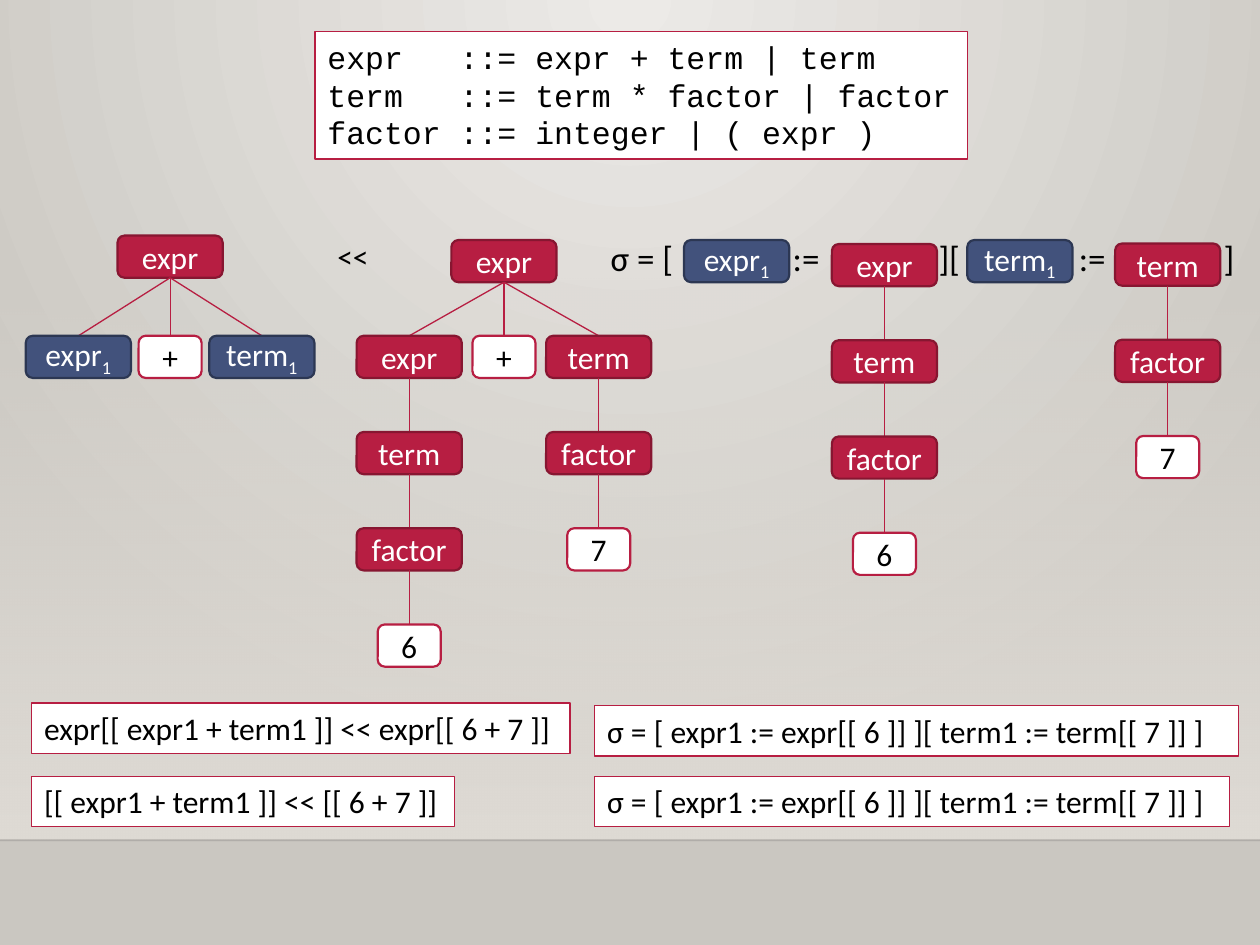
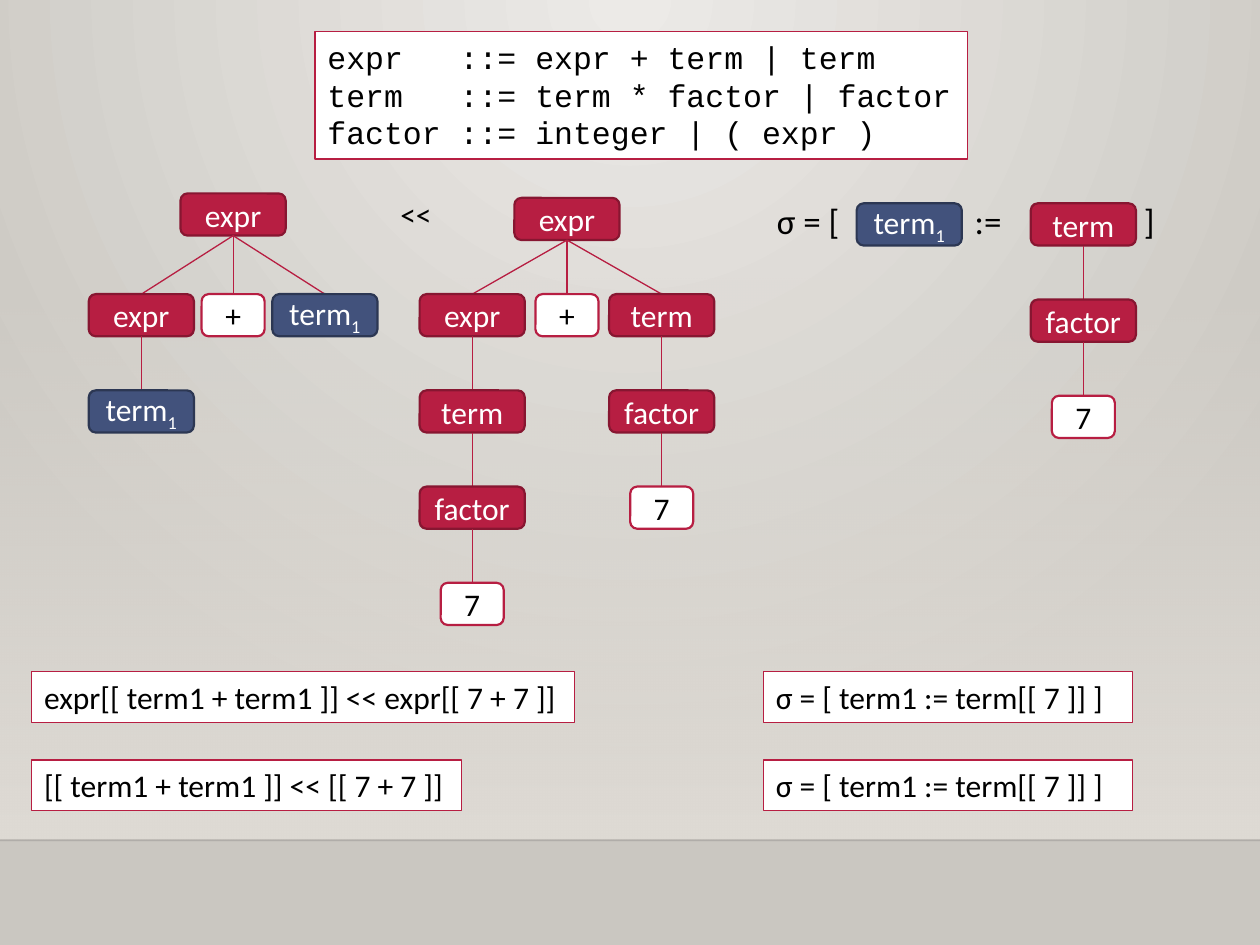
"""Two slides that match syntax-tree patterns against terms and show the substitutions."""
from lxml import etree
from pptx import Presentation
from pptx.dml.color import RGBColor
from pptx.enum.shapes import MSO_CONNECTOR, MSO_SHAPE
from pptx.enum.text import MSO_ANCHOR, PP_ALIGN
from pptx.oxml.ns import qn
from pptx.util import Cm, Pt

RECT, ROUNDED = MSO_SHAPE.RECTANGLE, MSO_SHAPE.ROUNDED_RECTANGLE
STRAIGHT = MSO_CONNECTOR.STRAIGHT
MIDDLE, TOP = MSO_ANCHOR.MIDDLE, MSO_ANCHOR.TOP
CENTER, LEFT = PP_ALIGN.CENTER, PP_ALIGN.LEFT

COLORS = {
    "red": "B71E42", "dark red": "871631", "blue": "42527C", "dark blue": "2C3753",
    "white": "FFFFFF", "black": "000000", "light": "ECEAE7", "grey": "CAC7C1",
    "wall": "DFDBD5", "floor line": "000001",
}
NODE_STYLES = {
    "rule": ("red", "dark red", "white", 2.12),
    "variable": ("blue", "dark blue", "white", 2.12),
    "token": ("white", "red", "black", 1.27),
}
BODY, CODE = "Calibri", "Courier New"
WIDTH, HEIGHT, FLOOR = 25.4, 19.05, 16.94
NODE_H, ROW_STEP, FORMULA_H = 0.85, 1.94, 1.02

GRAMMAR = """expr   ::= expr + term | term
term   ::= term * factor | factor
factor ::= integer | ( expr )"""

# Trees: root label, centre x, root y, first row y, column spread, branches.
# Labels: text, x, y, size. Formulas: text, x, y, width.
SLIDES = [
    {
        "labels": [
            ("<<", 6.55, 4.65, 18), ("σ = [", 12.06, 4.65, 20), (":=", 15.73, 4.65, 20),
            ("][", 18.67, 4.65, 20), (":=", 21.5, 4.65, 20), ("]", 24.42, 4.65, 20),
        ],
        "trees": [
            ("expr", 3.43, 4.75, 6.77, 1.85, [["expr1"], ["+"], ["term1"]]),
            ("expr", 10.16, 4.84, 6.77, 1.91,
             [["expr", "term", "factor", "6"], ["+"], ["term", "factor", "7"]]),
            ("expr1", 14.85, 4.84, 0, 0, []),
            ("expr", 17.83, 4.92, 6.86, 0, [["term", "factor", "6"]]),
            ("term1", 20.56, 4.84, 0, 0, []),
            ("term", 23.54, 4.91, 6.85, 0, [["factor", "7"]]),
        ],
        "formulas": [
            ("expr[[ expr1 + term1 ]] << expr[[ 6 + 7 ]]", 0.64, 14.17, 10.85),
            ("σ = [ expr1 := expr[[ 6 ]] ][ term1 := term[[ 7 ]] ]", 11.99, 14.22, 12.98),
            ("[[ expr1 + term1 ]] << [[ 6 + 7 ]]", 0.64, 15.65, 8.53),
            ("σ = [ expr1 := expr[[ 6 ]] ][ term1 := term[[ 7 ]] ]", 11.99, 15.65, 12.8),
        ],
    },
    {
        "labels": [
            ("<<", 7.82, 3.8, 18), ("σ = [", 15.41, 3.9, 20),
            (":=", 19.4, 3.9, 20), ("]", 22.81, 3.9, 20),
        ],
        "trees": [
            ("expr", 4.7, 3.9, 5.93, 1.85, [["expr", "term1"], ["+"], ["term1"]]),
            ("expr", 11.43, 3.99, 5.93, 1.91,
             [["expr", "term", "factor", "7"], ["+"], ["term", "factor", "7"]]),
            ("term1", 18.33, 4.1, 0, 0, []),
            ("term", 21.84, 4.1, 6.04, 0, [["factor", "7"]]),
        ],
        "formulas": [
            ("expr[[ term1 + term1 ]] << expr[[ 7 + 7 ]]", 0.64, 13.54, 10.95),
            ("σ = [ term1 := term[[ 7 ]] ]", 15.39, 13.54, 7.44),
            ("[[ term1 + term1 ]] << [[ 7 + 7 ]]", 0.64, 15.32, 8.66),
            ("σ = [ term1 := term[[ 7 ]] ]", 15.39, 15.32, 7.44),
        ],
    },
]


def rgb(name):
    return RGBColor.from_string(COLORS[name])


def set_alpha(color_el, percent):
    etree.SubElement(color_el, qn("a:alpha")).set("val", str(percent * 1000))


def fill_gradient(fill, *names):
    fill.gradient()
    for stop, name in zip(fill.gradient_stops, names):
        stop.color.rgb = rgb(name)


def format_text(tf, size, color, font=BODY, align=LEFT, anchor=TOP):
    tf.word_wrap = True
    tf.vertical_anchor = anchor
    for p in tf.paragraphs:
        p.alignment = align
        for r in p.runs:
            r.font.size, r.font.name = Pt(size), font
            r.font.color.rgb = rgb(color)


def add_box(s, kind, x, y, w, h, fill, line, line_w):
    sp = s.shapes.add_shape(kind, Cm(x), Cm(y), Cm(w), Cm(h))
    sp.shadow.inherit = False
    sp.fill.solid()
    sp.fill.fore_color.rgb = rgb(fill)
    sp.line.color.rgb = rgb(line)
    sp.line.width = Pt(line_w)
    return sp


def add_line(s, x1, y1, x2, y2, color="red", width=0.75):
    ln = s.shapes.add_connector(STRAIGHT, Cm(x1), Cm(y1), Cm(x2), Cm(y2))
    ln.line.color.rgb = rgb(color)
    ln.line.width = Pt(width)
    etree.SubElement(ln.element.spPr, qn("a:effectLst"))
    return ln


def add_framed_text(s, text, x, y, w, h, font=BODY):
    sp = add_box(s, RECT, x, y, w, h, "white", "red", 0.75)
    sp.text_frame.text = text
    format_text(sp.text_frame, 18, "black", font)


def add_label(s, text, x, y, size):
    tb = s.shapes.add_textbox(Cm(x), Cm(y), Cm(0.5 + 0.4 * len(text)), Cm(FORMULA_H))
    tb.text_frame.text = text
    format_text(tb.text_frame, size, "black")


def add_node(s, label, cx, y):
    name = label.rstrip("1")
    kind = "variable" if name != label else "rule" if label.isalpha() else "token"
    fill, line, color, w = NODE_STYLES[kind]
    sp = add_box(s, ROUNDED, cx - w / 2, y, w, NODE_H, fill, line, 1.25)
    tf = sp.text_frame
    tf.text = name
    if kind == "variable":
        r = tf.paragraphs[0].add_run()
        r.text = "1"
        r.font._element.set("baseline", "-25000")
    format_text(tf, 18, color, align=CENTER, anchor=MIDDLE)


def add_tree(s, root, cx, root_y, row_y, spread, branches):
    add_node(s, root, cx, root_y)
    for i, branch in enumerate(branches):
        x = cx + (i - (len(branches) - 1) / 2) * spread
        from_x, from_y = cx, root_y + NODE_H
        for depth, label in enumerate(branch):
            y = row_y + depth * ROW_STEP
            add_line(s, from_x, from_y, x, y)
            add_node(s, label, x, y)
            from_x, from_y = x, y + NODE_H


def dress_layout(layout, s):
    """Give the layout its spotlight background, wall and floor line, drawn by way of slide s."""
    fill_gradient(layout.background.fill, "light", "grey")
    grad = layout.element.find(".//" + qn("a:gradFill"))
    grad.remove(grad.find(qn("a:lin")))
    path = etree.SubElement(grad, qn("a:path"))
    path.set("path", "circle")
    center = etree.SubElement(path, qn("a:fillToRect"))
    for side, val in (("l", "43000"), ("r", "43000"), ("b", "100000")):
        center.set(side, val)

    wall = add_box(s, RECT, 0, 5.6, WIDTH, FLOOR - 5.6, "wall", "wall", 0)
    wall.line.fill.background()
    fill_gradient(wall.fill, "wall", "wall")
    wall.fill.gradient_angle = 270
    set_alpha(wall.element.find(".//" + qn("a:srgbClr")), 0)
    floor = add_line(s, 0, FLOOR, WIDTH, FLOOR, "floor line", 1)
    set_alpha(floor.element.find(".//" + qn("a:srgbClr")), 20)
    for sp in (wall, floor):
        layout.shapes.element.append(sp.element)


def main():
    prs = Presentation()
    prs.slide_width, prs.slide_height = Cm(WIDTH), Cm(HEIGHT)
    layout = prs.slide_layouts[6]
    for i, content in enumerate(SLIDES):
        s = prs.slides.add_slide(layout)
        if i == 0:
            dress_layout(layout, s)
        add_framed_text(s, GRAMMAR, 6.35, 0.64, 13.16, 2.57, CODE)
        for label in content["labels"]:
            add_label(s, *label)
        for tree in content["trees"]:
            add_tree(s, *tree)
        for formula in content["formulas"]:
            add_framed_text(s, *formula, FORMULA_H)
    prs.save("out.pptx")


if __name__ == "__main__":
    main()
